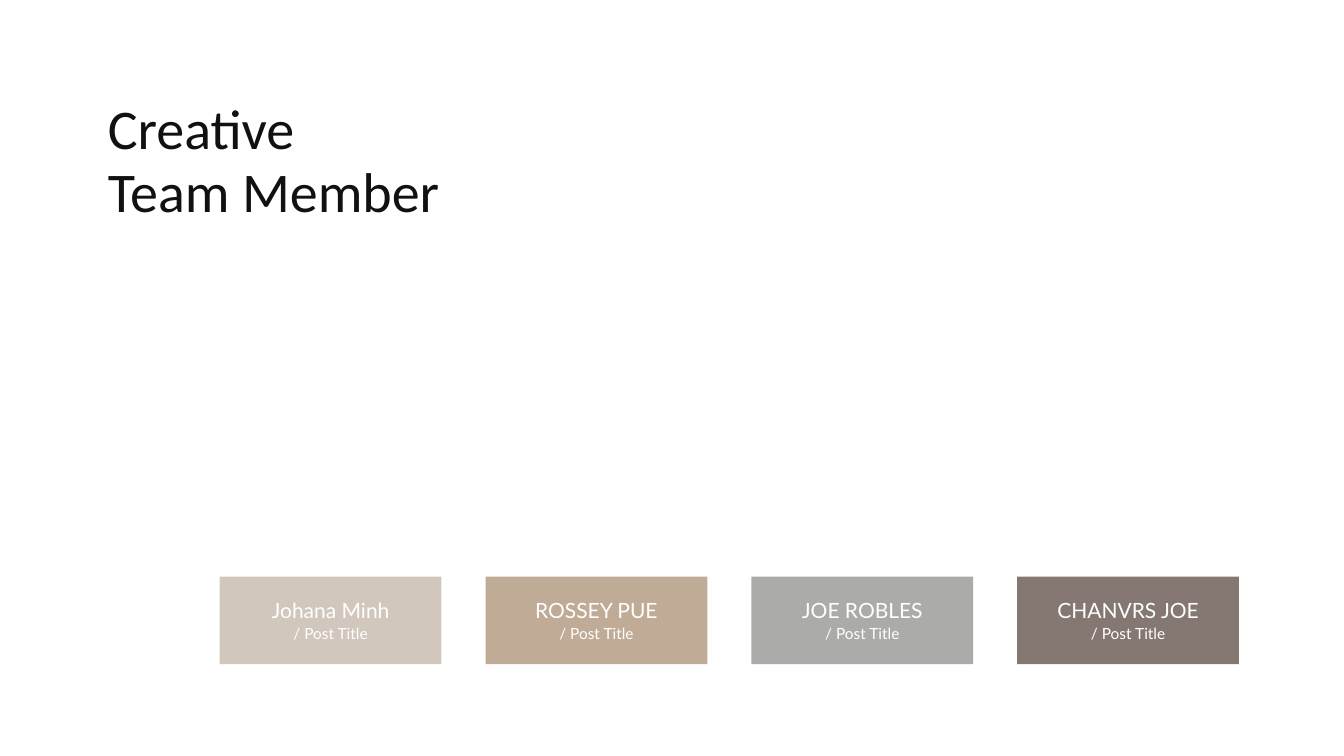
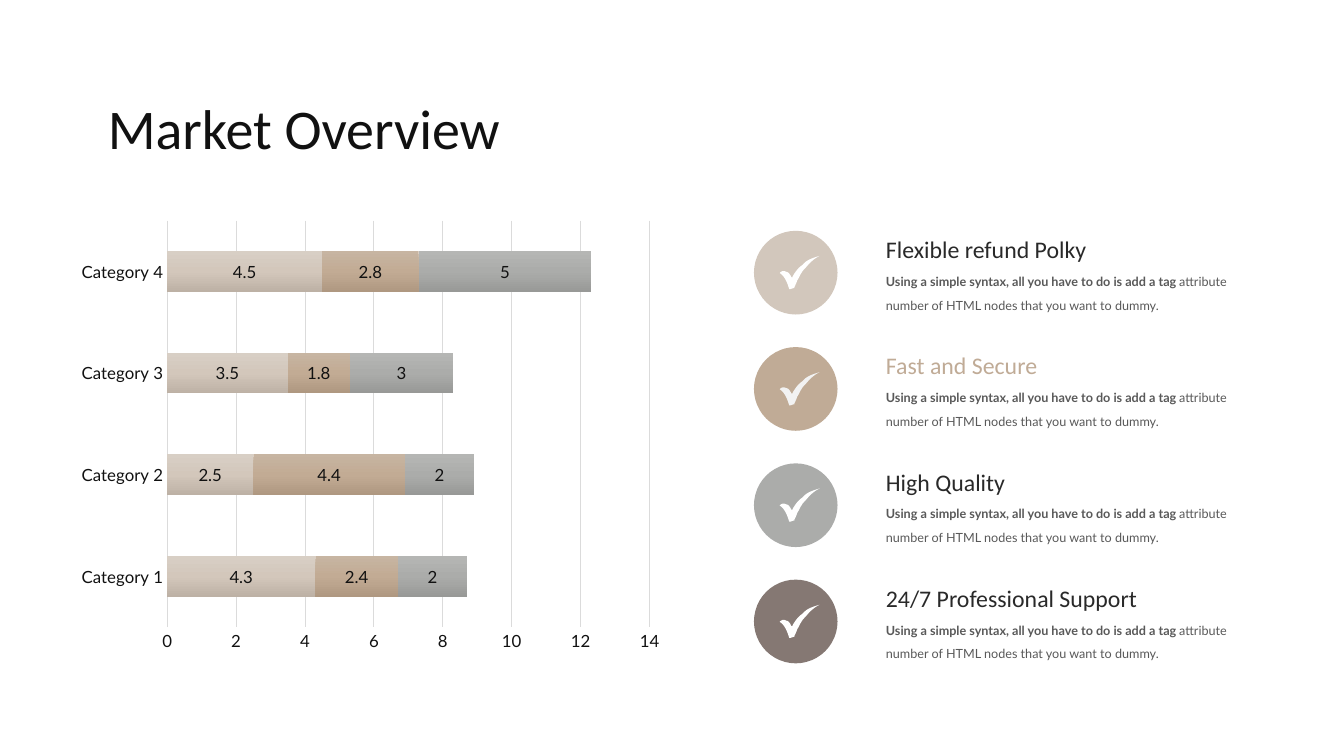
from copy import deepcopy
from dataclasses import dataclass

from pptx import Presentation
from pptx import util as u
from pptx.chart.data import CategoryChartData
from pptx.dml.color import RGBColor
from pptx.enum import chart as charts, shapes, text
from pptx.oxml.ns import qn

SLIDE_WIDTH, SLIDE_HEIGHT = u.Inches(13.333), u.Inches(7.5)

COLOURS = {
    "ink": "111111", "heading": "292929", "body": "595959", "white": "FFFFFF",
    "off_white": "F2F2F2", "grid": "DBDBDB", "sand": "D2C7BC",
    "tan": "C0AB96", "grey": "ABACAA", "brown": "857873",
}


# Shared types
@dataclass(frozen=True)
class Area:
    """Position and size in percent of the slide's width and height."""
    left: float
    top: float
    width: float
    height: float

    def emu(self) -> tuple[int, int, int, int]:
        return (int(self.left * SLIDE_WIDTH / 100), int(self.top * SLIDE_HEIGHT / 100),
                int(self.width * SLIDE_WIDTH / 100), int(self.height * SLIDE_HEIGHT / 100))


@dataclass(frozen=True)
class Style:
    font: str
    size: float
    colour: str
    line_pitch: float | None = None
    align: text.PP_ALIGN = text.PP_ALIGN.LEFT
    anchor: text.MSO_ANCHOR = text.MSO_ANCHOR.TOP


@dataclass(frozen=True)
class Member:
    name: str
    role: str
    colour: str


@dataclass(frozen=True)
class Benefit:
    heading: str
    colour: str
    heading_colour: str = "heading"
    tick_colour: str = "white"


@dataclass(frozen=True)
class Series:
    name: str
    values: tuple[float, ...]
    gradient: tuple[str, str, str]


TITLE = Style("Calibri", 40, "ink", 45)
MEMBER_NAME = Style("Lato", 15, "white", 17, text.PP_ALIGN.CENTER)
MEMBER_ROLE = Style("Lato", 11, "white", None, text.PP_ALIGN.CENTER, text.MSO_ANCHOR.MIDDLE)
BENEFIT_BODY = Style("Lato", 9, "body", 17)


# Shared drawing functions
def rgb(name: str) -> RGBColor:
    return RGBColor.from_string(COLOURS[name])


def format_text(frame, style: Style) -> None:
    frame.word_wrap = True
    frame.auto_size = text.MSO_AUTO_SIZE.NONE
    frame.vertical_anchor = style.anchor
    for para in frame.paragraphs:
        para.alignment = style.align
        if style.line_pitch:
            para.line_spacing = u.Pt(style.line_pitch)
        for span in para.runs:
            format_font(span.font, style.font, style.size, style.colour)


def format_font(font, name: str, size: float, colour: str) -> None:
    font.name = name
    font.size = u.Pt(size)
    font.color.rgb = rgb(colour)


def add_text(page, area: Area, words: str, style: Style):
    box = page.shapes.add_textbox(*area.emu())
    box.text_frame.text = words
    format_text(box.text_frame, style)
    return box


def paint(shape, colour: str) -> None:
    shape.shadow.inherit = False
    shape.fill.solid()
    shape.fill.fore_color.rgb = rgb(colour)
    shape.line.fill.background()


def add_filled(page, kind: shapes.MSO_SHAPE, area: Area, colour: str) -> None:
    paint(page.shapes.add_shape(kind, *area.emu()), colour)


def add_page(deck, title: str, width: float, height: float):
    page = deck.slides.add_slide(deck.slide_layouts[5])
    box = page.shapes.title
    box.left, box.top, box.width, box.height = Area(7.28, 12.27, width, height).emu()
    box.text_frame.text = title
    format_text(box.text_frame, TITLE)
    return page


# Team slide
MEMBERS = (
    Member("Johana Minh", "/ Post Title", "sand"),
    Member("ROSSEY PUE", "/ Post Title", "tan"),
    Member("JOE ROBLES", "/ Post Title", "grey"),
    Member("CHANVRS JOE", "/ Post Title", "brown"),
)
CARD_LEFT, CARD_WIDTH, CARD_PITCH = 16.35, 16.5, 19.78


def add_member(page, column: int, member: Member) -> None:
    left = CARD_LEFT + column * CARD_PITCH

    def centred(top: float, width: float, height: float) -> Area:
        return Area(left + (CARD_WIDTH - width) / 2, top, width, height)

    add_filled(page, shapes.MSO_SHAPE.RECTANGLE, centred(76.27, CARD_WIDTH, 11.6), member.colour)
    add_text(page, centred(78.53, 13.8, 4.13), member.name, MEMBER_NAME)
    add_text(page, centred(81.87, 10.28, 3.87), member.role, MEMBER_ROLE)


def add_team_page(deck) -> None:
    page = add_page(deck, "Creative\nTeam Member", 32.85, 18.13)
    for column, member in enumerate(MEMBERS):
        add_member(page, column, member)


# Market slide: chart
CATEGORIES = [f"Category {number}" for number in range(1, 5)]
SERIES = (
    Series("Series 1", (4.3, 2.5, 3.5, 4.5), ("D8CFC5", "D3C7BB", "BDB1A5")),
    Series("Series 2", (2.4, 4.4, 1.8, 2.8), ("C7B5A2", "C2AB94", "AF9881")),
    Series("Series 3", (2, 2, 3, 5), ("B5B6B4", "ABACAA", "989997")),
)


def fill_gradient(bars, colours: tuple[str, str, str]) -> None:
    fill = bars.format.fill
    fill.gradient()
    fill.gradient_angle = 270
    stop_list = next(bars.format._element.iter(qn("a:gsLst")))
    stop_list.insert(1, deepcopy(stop_list[0]))
    for stop, position, colour in zip(fill.gradient_stops, (0, 0.5, 1), colours):
        stop.position = position
        stop.color.rgb = RGBColor.from_string(colour)


def format_line(line) -> None:
    line.color.rgb = rgb("grid")
    line.width = u.Pt(0.75)


def add_market_chart(page) -> None:
    data = CategoryChartData()
    data.categories = CATEGORIES
    for series in SERIES:
        data.add_series(series.name, series.values)
    chart = page.shapes.add_chart(charts.XL_CHART_TYPE.BAR_STACKED,
                                  *Area(5.18, 28, 44.78, 59.33).emu(), data).chart
    chart.has_legend = False
    chart.has_title = False
    chart.font.name = "Lato"
    chart.font.size = u.Pt(10)

    for axis in (chart.category_axis, chart.value_axis):
        axis.major_tick_mark = axis.minor_tick_mark = charts.XL_TICK_MARK.NONE
        format_font(axis.tick_labels.font, "Lato", 12, "ink")
    chart.category_axis.has_major_gridlines = False
    format_line(chart.category_axis.format.line)
    scale = chart.value_axis
    scale.minimum_scale, scale.maximum_scale, scale.major_unit = 0, 14, 2
    scale.format.line.fill.background()
    scale.has_major_gridlines = True
    format_line(scale.major_gridlines.format.line)

    plot = chart.plots[0]
    plot.gap_width, plot.overlap = 150, 100
    plot.vary_by_categories = False
    for bars, series in zip(plot.series, SERIES):
        fill_gradient(bars, series.gradient)
        labels = bars.data_labels
        labels.show_value = True
        labels.position = charts.XL_LABEL_POSITION.CENTER
        format_font(labels.font, "Lato", 12, "ink")


# Market slide: benefits
BENEFITS = (
    Benefit("Flexible refund Polky", "sand"),
    Benefit("Fast and Secure", "tan", "tan", "off_white"),
    Benefit("High Quality", "grey"),
    Benefit("24/7 Professional Support", "brown"),
)
BODY_BOLD = "Using a simple syntax, all you have to do is add a tag "
BODY_PLAIN = "attribute number of HTML nodes that you want to dummy."
BENEFIT_TOP, BENEFIT_PITCH = 30.53, 15.38

# Tick outline on a grid 40 wide and 33 high: two controls and an end per curve
TICK_COLUMNS = 40
TICK_START = (8, 16)
TICK_CURVES = (
    ((7, 16), (6, 15), (4, 15)), ((3, 15), (1, 16), (0.5, 17)),
    ((4, 19), (6, 23), (7, 25)), ((8, 27), (9, 30), (10, 33)),
    ((12, 33), (13, 32), (14, 32)), ((15, 32), (15, 32), (15, 31)),
    ((16, 29), (17, 27), (18, 24)), ((20, 21), (21, 18), (22, 17)),
    ((23, 15), (24, 14), (26, 12)), ((30, 7), (34, 3), (40, 0)),
    ((33, 2), (27, 4), (23, 9)), ((18, 12), (14, 19), (13, 21)),
    ((13, 22), (12, 21), (12, 21)), ((11, 19), (10, 17), (8, 16)),
)


def tick_points(steps: int = 8) -> list[tuple[float, float]]:
    points, start = [], TICK_START
    for first, second, end in TICK_CURVES:
        for step in range(1, steps + 1):
            t = step / steps
            weights = ((1 - t) ** 3, 3 * t * (1 - t) ** 2, 3 * t ** 2 * (1 - t), t ** 3)
            corners = (start, first, second, end)
            points.append(tuple(sum(weight * corner[axis] for weight, corner in zip(weights, corners))
                                for axis in (0, 1)))
        start = end
    return points


def add_tick(page, area: Area, colour: str) -> None:
    left, top, width, _ = area.emu()
    unit = width / TICK_COLUMNS
    # Fine units keep the curve smooth
    fine = 100
    builder = page.shapes.build_freeform(TICK_START[0] * fine, TICK_START[1] * fine, unit / fine)
    builder.add_line_segments([(x * fine, y * fine) for x, y in tick_points()], close=True)
    paint(builder.convert_to_shape(left, top), colour)


def add_benefit(page, row: int, benefit: Benefit) -> None:
    top = BENEFIT_TOP + row * BENEFIT_PITCH
    add_filled(page, shapes.MSO_SHAPE.OVAL, Area(56.1, top, 6.22, 11.07), benefit.colour)
    add_tick(page, Area(57.98, top + 3.33, 3, 4.4), benefit.tick_colour)
    add_text(page, Area(65.18, top - 0.13, 28.43, 5.2), benefit.heading,
             Style("Calibri", 17, benefit.heading_colour))
    body = add_text(page, Area(65.18, top + 3.87, 28.43, 7.33), BODY_BOLD, BENEFIT_BODY)
    para = body.text_frame.paragraphs[0]
    para.runs[0].font.bold = True
    para.add_run().text = BODY_PLAIN
    format_text(body.text_frame, BENEFIT_BODY)


def add_market_page(deck) -> None:
    page = add_page(deck, "Market Overview", 51.45, 9.87)
    add_market_chart(page)
    for row, benefit in enumerate(BENEFITS):
        add_benefit(page, row, benefit)


def main() -> None:
    deck = Presentation()
    deck.slide_width, deck.slide_height = SLIDE_WIDTH, SLIDE_HEIGHT
    add_team_page(deck)
    add_market_page(deck)
    deck.save("out.pptx")


if __name__ == "__main__":
    main()
